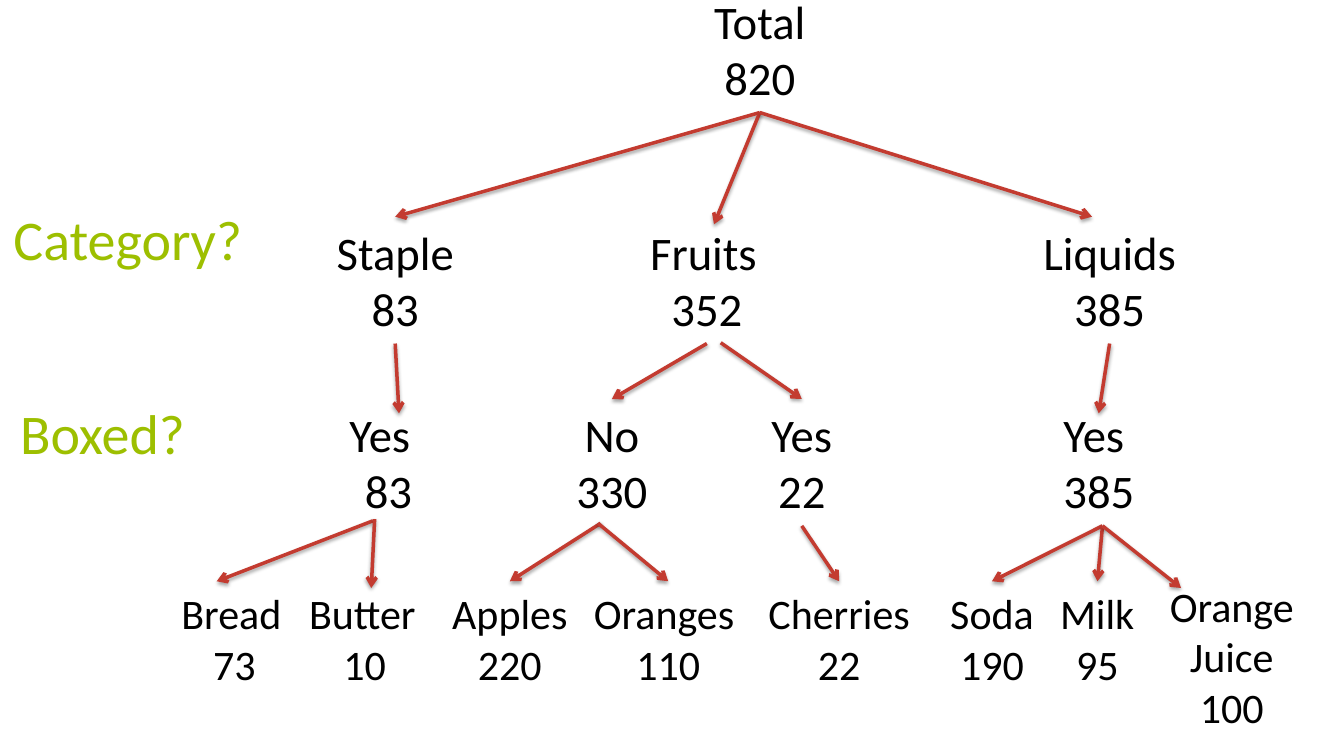
from lxml import etree
from pptx import Presentation
from pptx.dml.color import RGBColor
from pptx.enum.shapes import MSO_CONNECTOR
from pptx.enum.text import PP_ALIGN
from pptx.oxml.ns import qn
from pptx.util import Inches, Pt

STRAIGHT = MSO_CONNECTOR.STRAIGHT
LEFT, CENTER = PP_ALIGN.LEFT, PP_ALIGN.CENTER
TOP, BOTTOM = 0, 2

BLACK = RGBColor(0x00, 0x00, 0x00)
GREEN = RGBColor(0x9D, 0xBF, 0x00)
RED = RGBColor(0xC3, 0x3B, 0x30)

COLUMNS, ROWS = 16, 9
LEVEL_ROWS = (-0.17, 2.58, 4.75, 6.92)

# key: level, left column, width, label, count, label alignment, count alignment
NODES = {
    "total": (0, 8.17, 1.75, "Total", "820", CENTER, CENTER),
    "staple": (1, 3.83, 1.75, "Staple", "83", CENTER, CENTER),
    "fruits": (1, 7.58, 1.67, "Fruits", "352", LEFT, CENTER),
    "liquids": (1, 12.25, 1.92, "Liquids", "385", CENTER, CENTER),
    "staple yes": (2, 4, 1.25, "Yes", "83", LEFT, CENTER),
    "fruits no": (2, 6.67, 1.23, "No", "330", CENTER, CENTER),
    "fruits yes": (2, 8.92, 1.25, "Yes", "22", CENTER, CENTER),
    "liquids yes": (2, 12.5, 1.25, "Yes", "385", LEFT, LEFT),
    "bread": (3, 2, 1.58, "Bread", "73", LEFT, CENTER),
    "butter": (3, 3.52, 1.64, "Butter", "10", LEFT, CENTER),
    "apples": (3, 5.22, 1.7, "Apples", "220", CENTER, CENTER),
    "oranges": (3, 6.91, 2.09, "Oranges", "110", LEFT, CENTER),
    "cherries": (3, 8.98, 2.02, "Cherries", "22", CENTER, CENTER),
    "soda": (3, 11.12, 1.38, "Soda", "190", CENTER, CENTER),
    "milk": (3, 12.46, 1.21, "Milk", "95", LEFT, CENTER),
}

# Each end is a node key or a (column, row) point.
ARROWS = [
    ("total", "staple"),
    ("total", (8.5, 2.67)),
    ("total", (13, 2.58)),
    ("staple", (4.75, 4.92)),
    ("fruits", "fruits no"),
    ((8.58, 4.08), "fruits yes"),
    ("liquids", (13.08, 4.92)),
    ((4.44, 6.2), (2.58, 6.92)),
    ((4.46, 6.18), (4.42, 7)),
    ((7.15, 6.23), "apples"),
    ((7.12, 6.23), "oranges"),
    ("fruits yes", "cherries"),
    ("liquids yes", "soda"),
    ("liquids yes", "milk"),
    ("liquids yes", (14.06, 7)),
]


class TreeSlide:
    """Draws on one slide; lengths are columns and rows of the grid."""

    font = "Calibri"

    def __init__(self, prs):
        self.s = prs.slides.add_slide(prs.slide_layouts[6])
        self.column = prs.slide_width / COLUMNS
        self.row = prs.slide_height / ROWS
        self.nodes = {}

    def place(self, x, y):
        return round(x * self.column), round(y * self.row)

    def text(self, x, y, width, height, lines, size, color=BLACK):
        """Add a text box; lines are (text, alignment) pairs."""
        box = self.s.shapes.add_textbox(*self.place(x, y), *self.place(width, height))
        tf = box.text_frame
        tf.word_wrap = True
        tf.margin_left = tf.margin_right = Inches(0.16)
        tf.margin_top = tf.margin_bottom = Inches(0.08)
        for i, (words, alignment) in enumerate(lines):
            p = tf.add_paragraph() if i else tf.paragraphs[0]
            p.text = words
            p.alignment = alignment
            p.font.name = self.font
            p.font.size = Pt(size)
            p.font.color.rgb = color
        return box

    def question(self, x, y, words):
        self.text(x, y, 3.08, 0.97, [(words, LEFT)], 48, GREEN)

    def node(self, key, level, x, width, label, count, label_align, count_align):
        height, size = (1.37, 36) if level == 3 else (1.51, 40)
        lines = [(label, label_align), (count, count_align)]
        self.nodes[key] = self.text(x, LEVEL_ROWS[level], width, height, lines, size)

    def arrow(self, begin, end):
        line = self.s.shapes.add_connector(STRAIGHT, 0, 0, 0, 0)
        if begin in self.nodes:
            line.begin_connect(self.nodes[begin], BOTTOM)
        else:
            line.begin_x, line.begin_y = self.place(*begin)
        if end in self.nodes:
            line.end_connect(self.nodes[end], TOP)
        else:
            line.end_x, line.end_y = self.place(*end)
        line.line.color.rgb = RED
        line.line.width = Pt(3)
        etree.SubElement(line.line._get_or_add_ln(), qn("a:tailEnd"), type="arrow")
        self.soft_shadow(line)

    def soft_shadow(self, line):
        effects = etree.SubElement(line._element.spPr, qn("a:effectLst"))
        shadow = etree.SubElement(effects, qn("a:outerShdw"), blurRad="40000",
                                  dist="23000", dir="5400000", rotWithShape="0")
        color = etree.SubElement(shadow, qn("a:srgbClr"), val=str(BLACK))
        etree.SubElement(color, qn("a:alpha"), val="35000")


def main():
    prs = Presentation()
    prs.slide_width, prs.slide_height = Inches(16), Inches(9)
    tree = TreeSlide(prs)
    tree.question(0, 2.36, "Category?")
    tree.question(0.08, 4.67, "Boxed?")
    for key, values in NODES.items():
        tree.node(key, *values)
    tree.text(13.75, 6.83, 1.83, 1.98,
              [("Orange Juice", CENTER), ("100", CENTER)], 36)
    for begin, end in ARROWS:
        tree.arrow(begin, end)
    prs.save("out.pptx")


if __name__ == "__main__":
    main()
